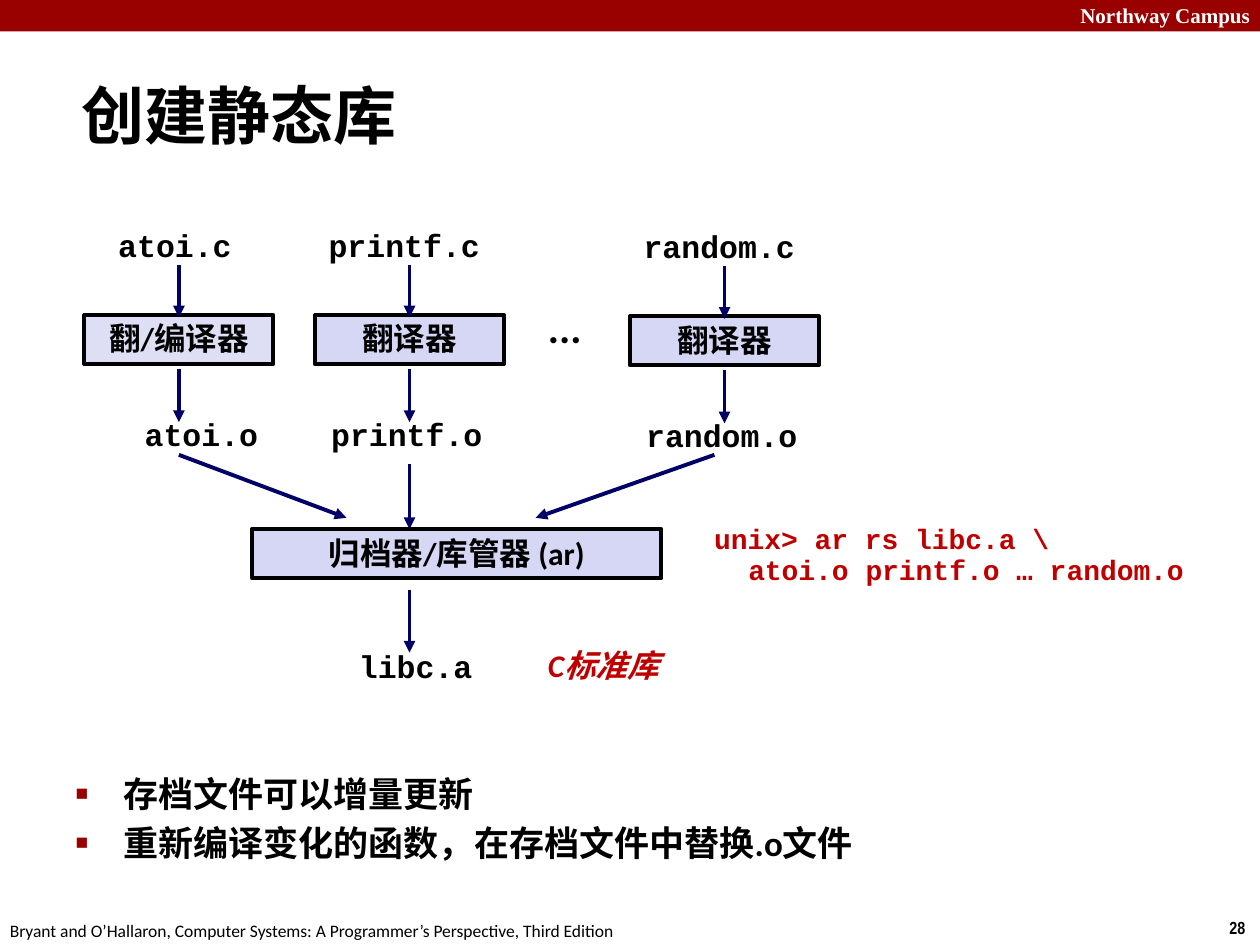
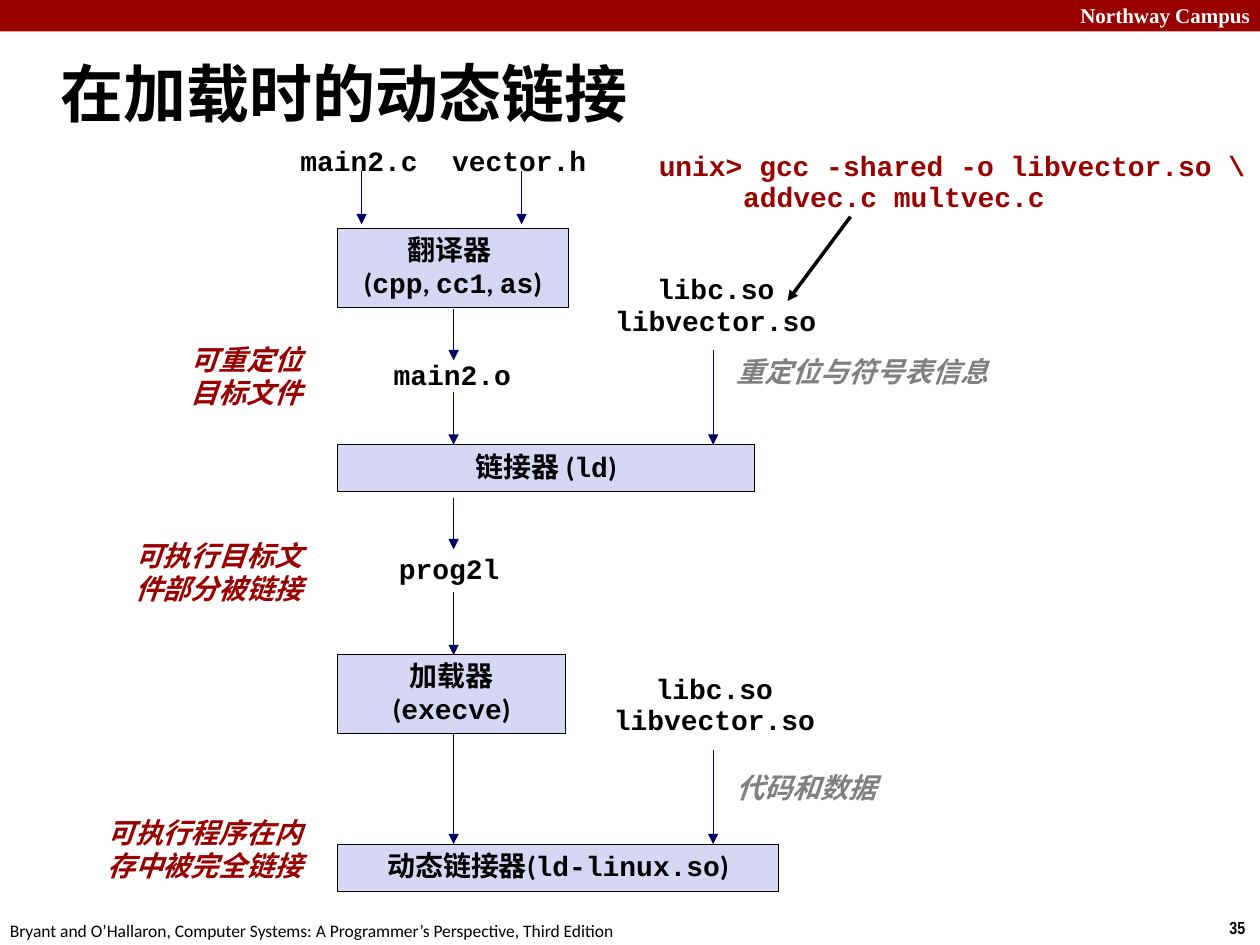
from dataclasses import dataclass

from lxml import etree
from pptx import Presentation
from pptx import util as u
from pptx.dml.color import RGBColor
from pptx.enum import shapes, text
from pptx.oxml import ns

LEFT, MID, RIGHT = text.PP_ALIGN.LEFT, text.PP_ALIGN.CENTER, text.PP_ALIGN.RIGHT


@dataclass(frozen=True)
class Theme:
    black: str = "000000"
    white: str = "FFFFFF"
    band: str = "990000"
    red: str = "C00000"
    gray: str = "808080"
    navy: str = "000066"
    lilac: str = "D6D6F5"
    pale: str = "DEDFF5"
    sans: str = "Calibri"
    mono: str = "Courier New"
    serif: str = "Times New Roman"
    narrow: str = "Arial Narrow"
    title: int = 36
    dots: int = 24
    list: int = 20
    large: int = 18
    small: int = 16
    brand: int = 12
    foot: int = 10
    thick: float = 2.24
    solid: float = 2.0
    thin: float = 0.26


T = Theme()


@dataclass(frozen=True)
class Style:
    size: int
    color: str = T.black
    font: str = T.sans
    bold: bool = True
    slant: bool = False
    align: text.PP_ALIGN = LEFT
    space: float = 0.98


@dataclass(frozen=True)
class Spot:
    x: float
    y: float
    w: float
    h: float


@dataclass(frozen=True)
class Label:
    spot: Spot
    lines: tuple[str, ...]
    style: Style
    wrap: bool = False
    hang: float = 0


@dataclass(frozen=True)
class Box:
    spot: Spot
    lines: tuple[str, ...]
    fill: str = T.lilac


@dataclass(frozen=True)
class Arrow:
    x: float
    y: float
    to_x: float
    to_y: float


@dataclass(frozen=True)
class Source:
    name: str
    tool: str
    x: float
    width: float
    c_x: float
    o_x: float
    drop: float = 0
    fill: str = T.lilac


def tint(code: str) -> RGBColor:
    return RGBColor.from_string(code)


def place(shape, spot: Spot) -> None:
    shape.left, shape.top = u.Inches(spot.x), u.Inches(spot.y)
    shape.width, shape.height = u.Inches(spot.w), u.Inches(spot.h)


def write(frame, lines: tuple[str, ...], style: Style, hang: float = 0) -> None:
    for row, line in enumerate(lines):
        para = frame.paragraphs[0] if row == 0 else frame.add_paragraph()
        para.alignment = style.align
        para.line_spacing = style.space
        if row and hang:
            para._p.get_or_add_pPr().set("marL", str(u.Inches(hang)))
        for part, words in enumerate(line.split("`")):
            if words:
                run = para.add_run()
                run.text = words
                run.font.name = T.mono if part % 2 else style.font
                run.font.size = u.Pt(style.size)
                run.font.bold = style.bold
                run.font.italic = style.slant
                run.font.color.rgb = tint(style.color)


def draw_label(slide, label: Label) -> None:
    shape = slide.shapes.add_textbox(0, 0, 0, 0)
    place(shape, label.spot)
    frame = shape.text_frame
    frame.word_wrap = label.wrap
    frame.auto_size = text.MSO_AUTO_SIZE.SHAPE_TO_FIT_TEXT
    write(frame, label.lines, label.style, label.hang)


def draw_rect(slide, spot: Spot, fill: str):
    shape = slide.shapes.add_shape(shapes.MSO_SHAPE.RECTANGLE, 0, 0, 0, 0)
    place(shape, spot)
    shape.shadow.inherit = False
    shape.fill.solid()
    shape.fill.fore_color.rgb = tint(fill)
    shape.line.fill.background()
    return shape


def draw_box(slide, box: Box, size: int, width: float) -> None:
    shape = draw_rect(slide, box.spot, box.fill)
    shape.line.color.rgb = tint(T.black)
    shape.line.width = u.Pt(width)
    frame = shape.text_frame
    frame.word_wrap = True
    frame.vertical_anchor = text.MSO_ANCHOR.TOP
    write(frame, box.lines, Style(size, align=MID))


def draw_arrow(slide, arrow: Arrow, width: float, color: str = T.navy) -> None:
    ends = (u.Inches(v) for v in (arrow.x, arrow.y, arrow.to_x, arrow.to_y))
    line = slide.shapes.add_connector(shapes.MSO_CONNECTOR.STRAIGHT, *ends)
    line.line.color.rgb = tint(color)
    line.line.width = u.Pt(width)
    tail = etree.SubElement(line.line._get_or_add_ln(), ns.qn("a:tailEnd"))
    tail.set("type", "triangle")
    etree.SubElement(line._element.spPr, ns.qn("a:effectLst"))


def down(x: float, top: float, end: float) -> Arrow:
    return Arrow(x, top, x, end)


def add_page(deck, kind: int, title: str, spot: Spot, number: str):
    slide = deck.slides.add_slide(deck.slide_layouts[kind])
    draw_rect(slide, Spot(0, 0, 10, 0.25), T.band)
    brand = Style(T.brand, T.white, T.serif, align=RIGHT, space=1.0)
    page = Style(T.foot, font=T.narrow, space=1.0)
    foot = Style(T.foot, bold=False, space=1.0)
    credit = "Bryant and O’Hallaron, Computer Systems: A Programmer’s Perspective, Third Edition"
    draw_label(slide, Label(Spot(8.02, -0.03, 2, 0.3), ("Northway Campus",), brand, True))
    draw_label(slide, Label(Spot(9.66, 7.23, 0.34, 0.27), (number,), page))
    draw_label(slide, Label(Spot(-0.02, 7.25, 5.08, 0.27), (credit,), foot))
    head = slide.shapes.title
    place(head, spot)
    head.text_frame.auto_size = text.MSO_AUTO_SIZE.NONE
    head.text_frame.vertical_anchor = text.MSO_ANCHOR.MIDDLE
    write(head.text_frame, (title,), Style(T.title, space=1.0))
    return slide


def add_list(slide, spot: Spot, lines: tuple[str, ...]) -> None:
    body = slide.placeholders[1]
    place(body, spot)
    frame = body.text_frame
    frame.auto_size = text.MSO_AUTO_SIZE.NONE
    write(frame, lines, Style(T.list, space=1.0))
    for para in frame.paragraphs:
        para.space_before = u.Pt(T.list * 0.2)
        props = para._p.get_or_add_pPr()
        props.set("marL", str(u.Inches(0.38)))
        props.set("indent", str(u.Inches(-0.38)))
        color = etree.SubElement(props, ns.qn("a:buClr"))
        etree.SubElement(color, ns.qn("a:srgbClr")).set("val", T.band)
        etree.SubElement(props, ns.qn("a:buSzPct")).set("val", "60000")
        etree.SubElement(props, ns.qn("a:buFont")).set("typeface", "Arial")
        etree.SubElement(props, ns.qn("a:buChar")).set("char", "■")


def build_static(deck) -> None:
    slide = add_page(deck, 1, "创建静态库", Spot(0.55, 0.48, 9.53, 0.86), "28")
    code = Style(T.large, font=T.mono, space=0.94)
    for src in (
        Source("atoi", "翻/编译器", 0.67, 1.1, 0.84, 1.05, fill=T.pale),
        Source("printf", "翻译器", 2.5, 1.4, 2.51, 2.53),
        Source("random", "翻译器", 5, 1.4, 5.01, 5.03, drop=0.01),
    ):
        mid = src.x + 0.75
        for x, y, end in ((src.c_x, 1.77, "c"), (src.o_x, 3.27, "o")):
            spot = Spot(x, y + src.drop, src.width, 0.39)
            draw_label(slide, Label(spot, (f"{src.name}.{end}",), code))
        draw_box(slide, Box(Spot(src.x, 2.5 + src.drop, 1.5, 0.39), (src.tool,), src.fill),
                 T.large, T.thick)
        for top in (2.1, 2.93):
            draw_arrow(slide, down(mid, top + src.drop, top + src.drop + 0.42), T.thick)
    draw_box(slide, Box(Spot(2, 4.2, 3.25, 0.39), ("归档器/库管器 (ar)",)), T.large, T.thick)
    for arrow in (Arrow(1.42, 3.61, 2.75, 4.11), down(3.25, 3.68, 4.2),
                  Arrow(5.67, 3.61, 4.25, 4.11), down(3.25, 4.68, 5.18)):
        draw_arrow(slide, arrow, T.thick)
    shell = Style(T.small, T.red, T.mono, space=0.94)
    for label in (
        Label(Spot(4.25, 2.36, 0.48, 0.5), ("...",), Style(T.dots)),
        Label(Spot(2.75, 5.11, 1.1, 0.39), ("libc.a",), code),
        Label(Spot(5.57, 4.11, 3.98, 0.61),
              ("unix> ar rs libc.a \\", "atoi.o printf.o … random.o"), shell, hang=0.27),
        Label(Spot(4.25, 5.09, 3.25, 0.4), ("C标准库",),
              Style(T.large, T.red, slant=True), True),
    ):
        draw_label(slide, label)
    add_list(slide, Spot(0.5, 6.08, 9.09, 1.17),
             ("存档文件可以增量更新", "重新编译变化的函数，在存档文件中替换.o文件"))


def build_load(deck) -> None:
    slide = add_page(deck, 5, "在加载时的动态链接", Spot(0.38, 0.31, 9.53, 0.85), "35")
    for box in (
        Box(Spot(2.68, 1.81, 1.83, 0.63), ("翻译器 ", "(`cpp`, `cc1`, `as`)")),
        Box(Spot(2.68, 3.53, 3.31, 0.37), ("链接器 (`ld`)",)),
        Box(Spot(2.68, 5.19, 1.81, 0.63), ("加载器 (`execve`)",)),
        Box(Spot(2.68, 6.7, 3.5, 0.37), ("动态链接器(`ld-linux.so`)",)),
    ):
        draw_box(slide, box, T.small, T.thin)
    for x, top, end in ((2.87, 1.36, 1.78), (4.14, 1.36, 1.78), (3.6, 2.45, 2.86),
                        (3.6, 3.11, 3.53), (3.6, 3.95, 4.36), (3.6, 4.7, 5.2),
                        (3.6, 5.82, 6.7), (5.66, 2.78, 3.53), (5.66, 5.95, 6.7)):
        draw_arrow(slide, down(x, top, end), T.thin)
    draw_arrow(slide, Arrow(6.75, 1.72, 6.25, 2.39), T.solid, T.black)
    code = Style(T.small, font=T.mono, align=MID, space=0.94)
    libs = ("libc.so", "libvector.so")
    for spot, lines in (
        (Spot(2.28, 1.11, 1.14, 0.36), ("main2.c",)),
        (Spot(3.48, 1.11, 1.28, 0.36), ("vector.h",)),
        (Spot(3.02, 2.81, 1.14, 0.36), ("main2.o",)),
        (Spot(3.06, 4.35, 1.01, 0.36), ("prog2l",)),
        (Spot(4.77, 2.13, 1.82, 0.61), libs),
        (Spot(4.76, 5.3, 1.82, 0.61), libs),
    ):
        draw_label(slide, Label(spot, lines, code))
    note = Style(T.small, T.gray, slant=True)
    stage = Style(T.small, T.band, slant=True, align=RIGHT)
    for spot, lines, style in (
        (Spot(5.75, 2.78, 2.85, 0.37), ("重定位与符号表信息",), note),
        (Spot(5.75, 6.08, 1.94, 0.37), ("代码和数据",), note),
        (Spot(1, 2.68, 1.5, 0.63), ("可重定位", "目标文件"), stage),
        (Spot(-0.25, 4.24, 2.75, 0.63), ("可执行目标文", "件部分被链接"), stage),
        (Spot(0.58, 6.44, 1.92, 0.63), ("可执行程序在内存中被完全链接",), stage),
    ):
        draw_label(slide, Label(spot, lines, style, True))
    shell = Style(T.small, T.band, T.mono, space=0.94)
    draw_label(slide, Label(Spot(5.13, 1.15, 4.92, 0.61),
                            ("unix> gcc -shared -o libvector.so \\", "addvec.c multvec.c"),
                            shell, hang=0.67))


def main() -> None:
    deck = Presentation()
    deck.slide_width, deck.slide_height = u.Inches(10), u.Inches(7.5)
    build_static(deck)
    build_load(deck)
    deck.save("out.pptx")


main()
